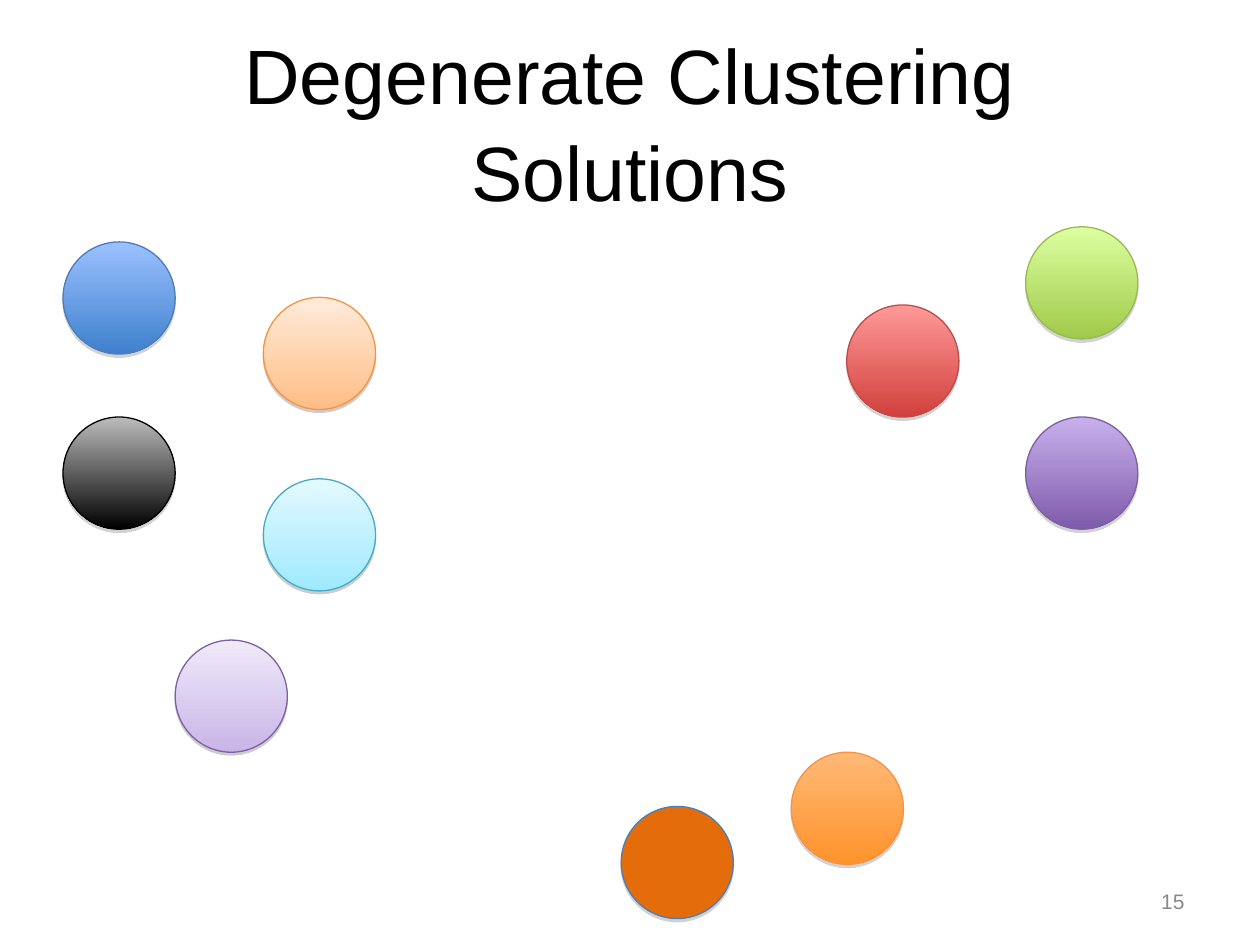
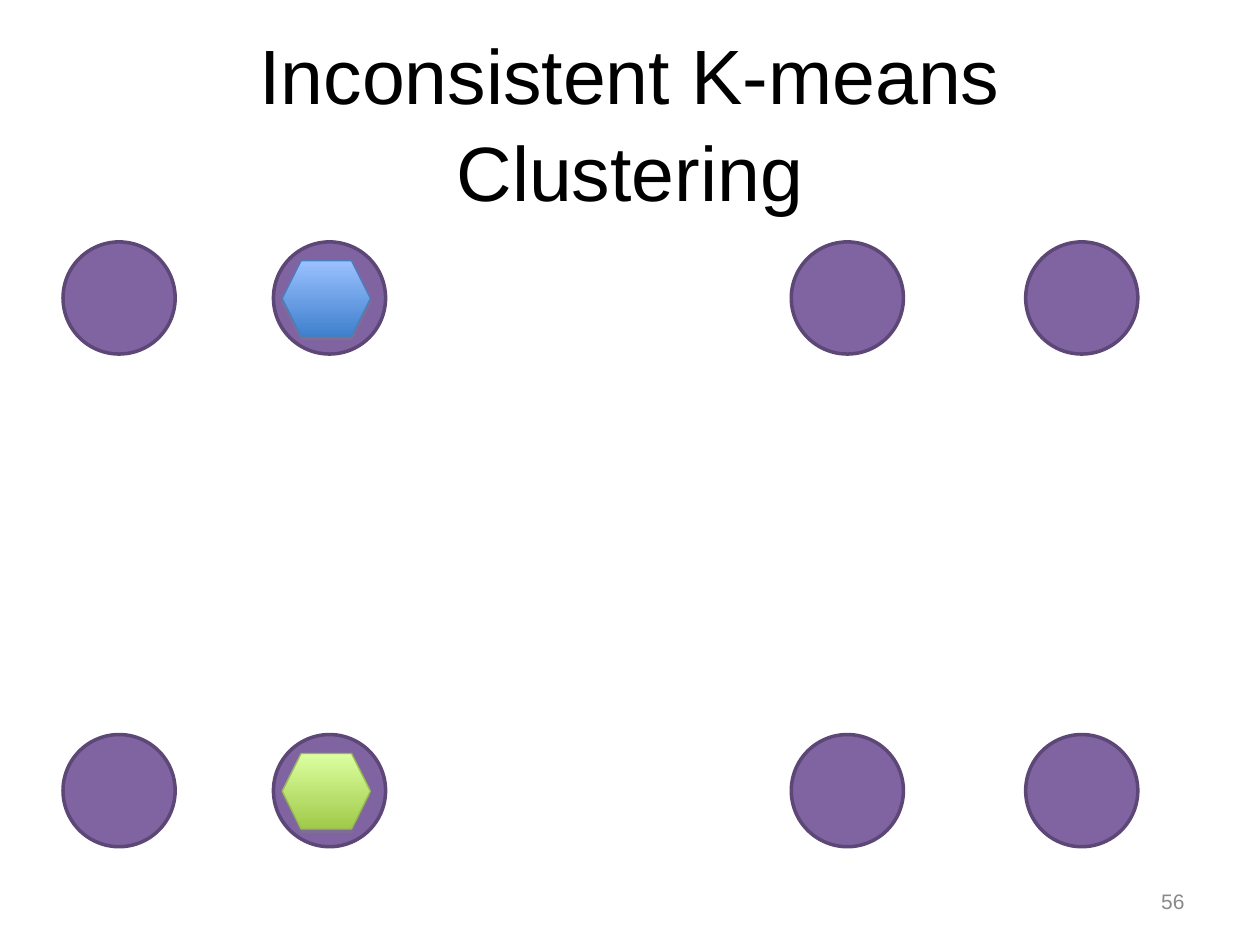
from dataclasses import dataclass
from itertools import product

from lxml.etree import SubElement
from pptx import Presentation
from pptx.dml.color import RGBColor
from pptx.enum.shapes import MSO_SHAPE
from pptx.enum.text import MSO_ANCHOR, PP_ALIGN
from pptx.oxml.ns import qn
from pptx.util import Inches, Pt

FONT = "Arial"
BLACK, GRAY, SHADOW_GRAY = "000000", "898989", "808080"
POINT_SIZE = 0.89
CENTROID_WIDTH, CENTROID_HEIGHT = 0.7, 0.6


@dataclass(frozen=True)
class Shadow:
    opacity: int  # percent
    distance: float  # points


STRONG = Shadow(35, 1.8)
SOFT = Shadow(38, 1.6)


@dataclass(frozen=True)
class Style:
    fill: tuple[str, ...]  # one colour, or top and bottom of a gradient
    line: str
    line_width: float = 0.75
    shadow: Shadow | None = STRONG


BLUE = Style(("9BC1FF", "3F80CD"), "4A7EBB")
DARK = Style(("BCBCBC", "000000"), BLACK)
GREEN = Style(("DCFFA0", "A0CA4A"), "98B954")
RED = Style(("FF9A99", "D1403C"), "BE4B48")
PURPLE = Style(("C8B0ED", "7F5BAB"), "7D60A0")
ORANGE = Style(("FFB977", "FF932B"), "F69240")
RUST = Style(("E46C0A",), "4A7EBB")
PEACH = Style(("FFEBDB", "FFBE86"), "F69240", shadow=SOFT)
LAVENDER = Style(("F0EAF9", "C9B5E8"), "7D60A0", shadow=SOFT)
AQUA = Style(("E4F9FF", "9EEAFF"), "46AAC5", shadow=SOFT)
FLAT_PURPLE = Style(("8064A2",), "5C4776", 2, None)


@dataclass(frozen=True)
class Point:
    left: float
    top: float
    style: Style


# Every point is a cluster of its own
SINGLETONS = [
    Point(0.5, 1.92, BLUE),
    Point(0.5, 3.31, DARK),
    Point(2.09, 2.36, PEACH),
    Point(1.39, 5.08, LAVENDER),
    Point(2.09, 3.8, AQUA),
    Point(8.14, 1.8, GREEN),
    Point(6.72, 2.42, RED),
    Point(8.14, 3.31, PURPLE),
    Point(6.28, 5.97, ORANGE),
    Point(4.93, 6.4, RUST),
]

# Grid of equal points, with a centroid in the second column of each row
COLUMNS = (0.5, 2.17, 6.28, 8.14)
ROWS = (1.92, 5.83)
CENTROID_STYLES = (BLUE, GREEN)
CENTROID_LEFT = 2.24
CENTROID_DROP = 0.15


def color(value: str) -> RGBColor:
    return RGBColor.from_string(value)


def add_text(page, text: str, left: float, top: float, width: float, height: float,
             size: int, ink: str, align: PP_ALIGN):
    box = page.shapes.add_textbox(Inches(left), Inches(top), Inches(width), Inches(height))
    frame = box.text_frame
    frame.word_wrap = True
    frame.vertical_anchor = MSO_ANCHOR.MIDDLE
    para = frame.paragraphs[0]
    para.text = text
    para.alignment = align
    para.font.name = FONT
    para.font.size = Pt(size)
    para.font.color.rgb = color(ink)
    return box


def add_shadow(shape, shadow: Shadow) -> None:
    effects = shape._element.spPr.find(qn("a:effectLst"))
    outer = SubElement(effects, qn("a:outerShdw"), blurRad="0",
                       dist=str(int(Pt(shadow.distance))), dir=str(90 * 60000),
                       rotWithShape="0")
    tint = SubElement(outer, qn("a:srgbClr"), val=SHADOW_GRAY)
    SubElement(tint, qn("a:alpha"), val=str(shadow.opacity * 1000))


def add_marker(page, kind: MSO_SHAPE, left: float, top: float,
               width: float, height: float, style: Style) -> None:
    shape = page.shapes.add_shape(kind, Inches(left), Inches(top),
                                  Inches(width), Inches(height))
    if len(style.fill) == 1:
        shape.fill.solid()
        shape.fill.fore_color.rgb = color(style.fill[0])
    else:
        shape.fill.gradient()
        shape.fill.gradient_angle = 270  # counter-clockwise, so top to bottom
        for stop, value in zip(shape.fill.gradient_stops, style.fill):
            stop.color.rgb = color(value)
    shape.line.color.rgb = color(style.line)
    shape.line.width = Pt(style.line_width)
    shape.shadow.inherit = False
    if style.shadow:
        add_shadow(shape, style.shadow)


def add_point(page, point: Point) -> None:
    add_marker(page, MSO_SHAPE.OVAL, point.left, point.top,
               POINT_SIZE, POINT_SIZE, point.style)


def add_page(deck, title: str, number: int):
    page = deck.slides.add_slide(deck.slide_layouts[6])
    heading = add_text(page, title, 0.5, 0.3, 9, 1.25, 44, BLACK, PP_ALIGN.CENTER)
    heading.text_frame.margin_top = Inches(0.1)
    heading.text_frame.margin_bottom = Inches(0.04)
    heading.text_frame.paragraphs[0].line_spacing = 1.04
    add_text(page, str(number), 7.17, 6.95, 2.33, 0.4, 12, GRAY, PP_ALIGN.RIGHT)
    return page


def main() -> None:
    deck = Presentation()
    deck.slide_width, deck.slide_height = Inches(10), Inches(7.5)

    # Degenerate solution
    page = add_page(deck, "Degenerate Clustering Solutions", 15)
    for point in SINGLETONS:
        add_point(page, point)

    # Inconsistent solution
    page = add_page(deck, "Inconsistent K-means Clustering", 56)
    for top, left in product(ROWS, COLUMNS):
        add_point(page, Point(left, top, FLAT_PURPLE))
    for top, style in zip(ROWS, CENTROID_STYLES):
        add_marker(page, MSO_SHAPE.HEXAGON, CENTROID_LEFT, top + CENTROID_DROP,
                   CENTROID_WIDTH, CENTROID_HEIGHT, style)

    deck.save("out.pptx")


if __name__ == "__main__":
    main()
